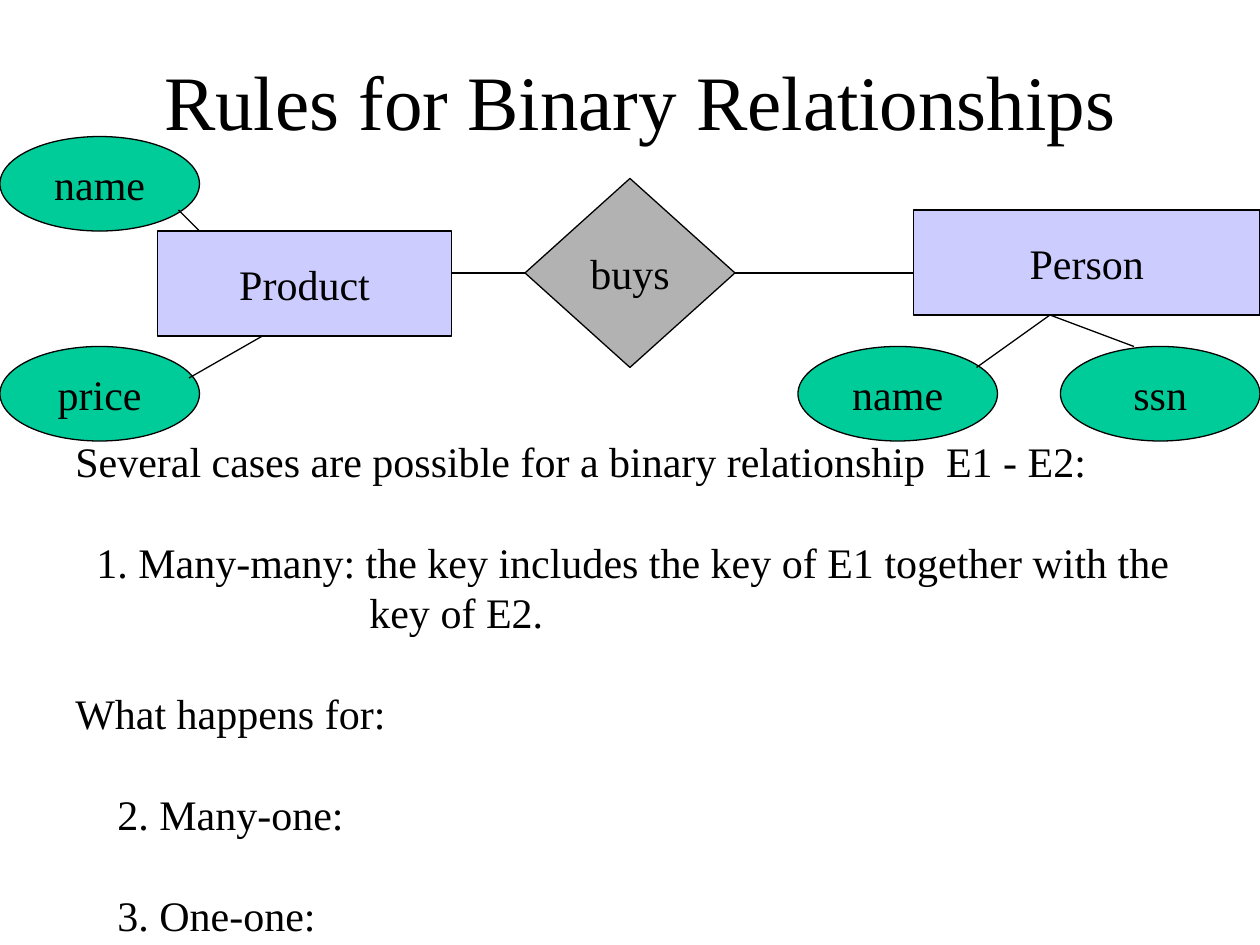
import pptx
import pptx.util
import pptx.dml.color
import pptx.enum.shapes
import pptx.enum.text
import pptx.oxml.ns
import lxml.etree
from dataclasses import dataclass

KIND = pptx.enum.shapes.MSO_SHAPE
ALIGN = pptx.enum.text.PP_ALIGN
ANCHOR = pptx.enum.text.MSO_ANCHOR


@dataclass(frozen=True)
class Theme:
    font: str = "Times New Roman"
    ink: str = "000000"
    entity: str = "CCCCFF"
    relation: str = "B2B2B2"
    field: str = "00CC99"
    title: int = 44
    body: int = 24
    lead: float = 28.8
    line: float = 0.75


THEME = Theme()


def px(count):
    """Length at 120 px to the inch."""
    return pptx.util.Emu(count * 7620)


def color(code):
    return pptx.dml.color.RGBColor.from_string(code)


def style(par, size, align):
    par.alignment = align
    for run in par.runs:
        run.font.name = THEME.font
        run.font.size = pptx.util.Pt(size)
        run.font.color.rgb = color(THEME.ink)


def outline(shape):
    shape.line.color.rgb = color(THEME.ink)
    shape.line.width = pptx.util.Pt(THEME.line)


def title(slide, box, text):
    frame = slide.shapes.add_textbox(*map(px, box)).text_frame
    frame.word_wrap = True
    frame.vertical_anchor = ANCHOR.MIDDLE
    frame.text = text
    style(frame.paragraphs[0], THEME.title, ALIGN.CENTER)


def node(slide, kind, box, fill, text):
    shape = slide.shapes.add_shape(kind, *map(px, box))
    shape.shadow.inherit = False
    shape.fill.solid()
    shape.fill.fore_color.rgb = color(fill)
    outline(shape)
    frame = shape.text_frame
    frame.word_wrap = False
    frame.vertical_anchor = ANCHOR.MIDDLE
    frame.text = text
    style(frame.paragraphs[0], THEME.body, ALIGN.CENTER)


def link(slide, ends):
    line = slide.shapes.add_connector(
        pptx.enum.shapes.MSO_CONNECTOR.STRAIGHT, *map(px, ends))
    outline(line)
    lxml.etree.SubElement(line._element.spPr, pptx.oxml.ns.qn("a:effectLst"))


def diagram(slide, box):
    """Entities, their fields and the relation, placed from the box corner."""
    left, top, wide, high = box
    oval = (190, 90)
    low = high - oval[1]
    nodes = [
        (KIND.RECTANGLE, (870, 70, 330, 100), THEME.entity, "Person"),
        (KIND.DIAMOND, (500, 40, 200, 180), THEME.relation, "buys"),
        (KIND.RECTANGLE, (150, 90, 280, 100), THEME.entity, "Product"),
        (KIND.OVAL, (0, 0, *oval), THEME.field, "name"),
        (KIND.OVAL, (0, low, *oval), THEME.field, "price"),
        (KIND.OVAL, (760, low, *oval), THEME.field, "name"),
        (KIND.OVAL, (wide - oval[0], low, *oval), THEME.field, "ssn"),
    ]
    for kind, (x, y, w, h), fill, text in nodes:
        node(slide, kind, (left + x, top + y, w, h), fill, text)
    links = [
        (190, 90, 170, 70), (250, 190, 180, 230),
        (430, 130, 500, 130), (700, 130, 870, 130),
        (1000, 170, 930, 220), (1000, 170, 1080, 200),
    ]
    for x, y, end, base in links:
        link(slide, (left + x, top + y, left + end, top + base))


def rules(slide, box):
    rows = [  # text, indent, gap above in lines
        ("Several cases are possible for a binary relationship  E1 - E2:", 0, 0),
        ("1. Many-many: the key includes the key of E1 together with the", 20, 1),
        ("key of E2.", 280, 0),
        ("What happens for:", 0, 1),
        ("2. Many-one:", 40, 1),
        ("3. One-one:", 40, 1),
    ]
    frame = slide.shapes.add_textbox(*map(px, box)).text_frame
    frame.word_wrap = False
    frame.text = "\n".join(text for text, _, _ in rows)
    for par, (_, indent, gap) in zip(frame.paragraphs, rows):
        style(par, THEME.body, ALIGN.LEFT)
        par.line_spacing = pptx.util.Pt(THEME.lead)
        par.space_before = pptx.util.Pt(THEME.lead * gap)
        props = par._p.get_or_add_pPr()
        props.set("marL", str(px(indent)))
        props.set("indent", "0")


def main():
    deck = pptx.Presentation()
    deck.slide_width, deck.slide_height = px(1200), px(900)
    slide = deck.slides.add_slide(deck.slide_layouts[6])
    title(slide, (100, 20, 1020, 150), "Rules for Binary Relationships")
    rules(slide, (60, 409, 1066, 492))
    diagram(slide, (0, 130, 1200, 290))
    deck.save("out.pptx")


if __name__ == "__main__":
    main()
